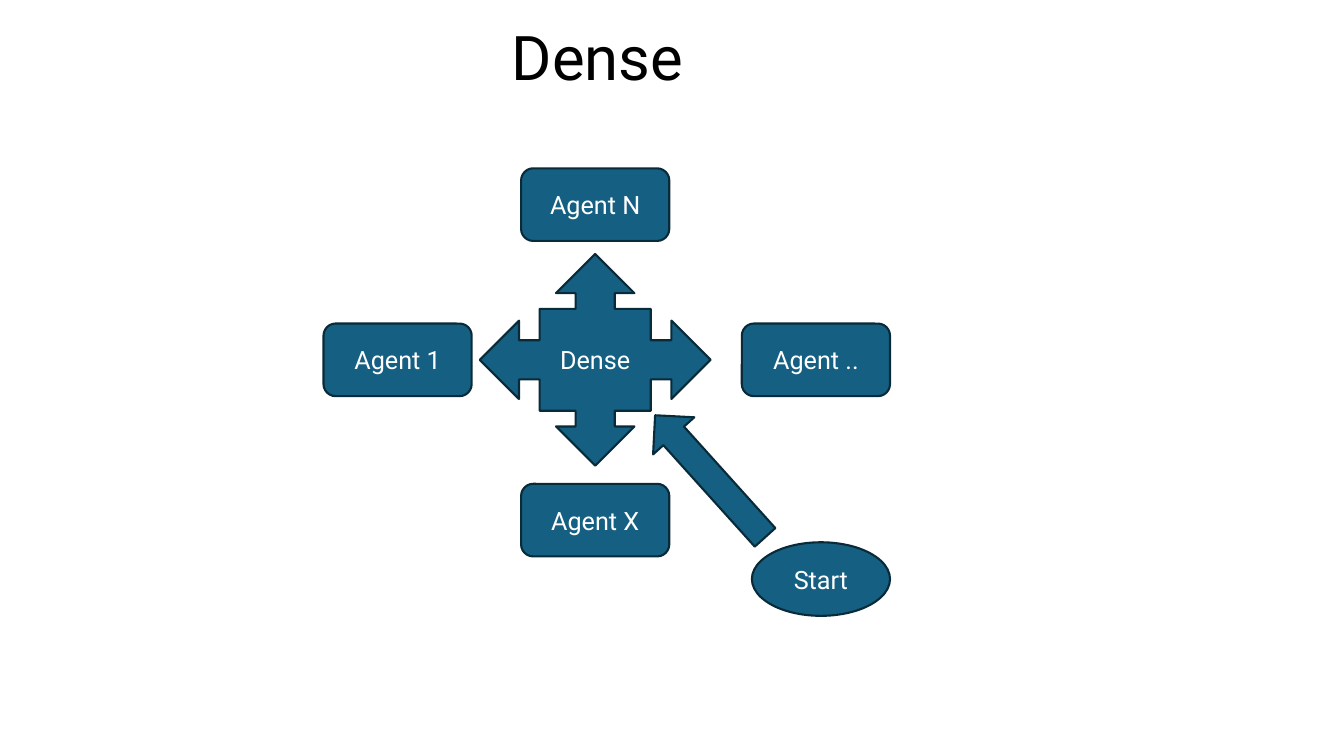
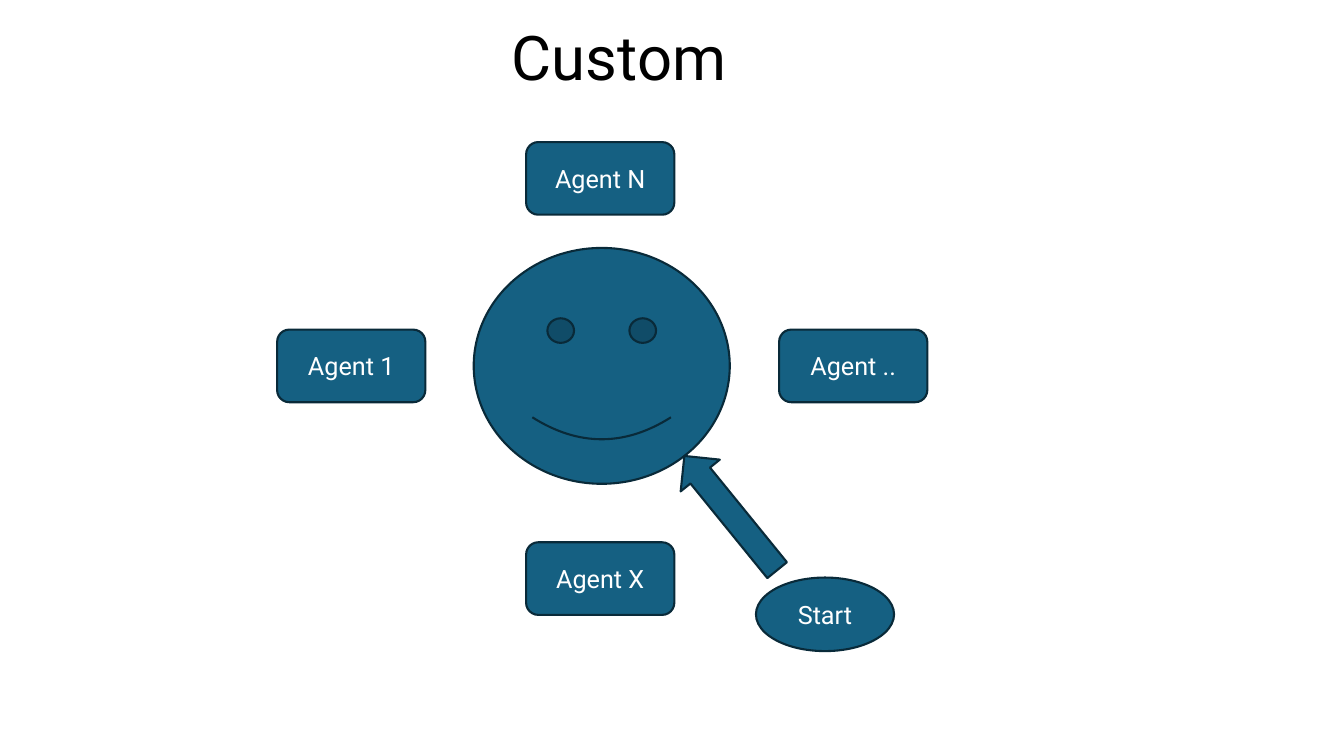
from pptx import Presentation
from pptx.dml.color import RGBColor
from pptx.enum.shapes import MSO_SHAPE
from pptx.enum.text import MSO_ANCHOR, PP_ALIGN
from pptx.util import Pt

ROUNDED = MSO_SHAPE.ROUNDED_RECTANGLE
OVAL = MSO_SHAPE.OVAL
RIGHT_ARROW = MSO_SHAPE.RIGHT_ARROW
UP_ARROW = MSO_SHAPE.UP_ARROW
QUAD_CALLOUT = MSO_SHAPE.QUAD_ARROW_CALLOUT
SMILEY = MSO_SHAPE.SMILEY_FACE
MIDDLE = MSO_ANCHOR.MIDDLE
LEFT = PP_ALIGN.LEFT
CENTER = PP_ALIGN.CENTER

COLORS = {"fill": "156082", "line": "092A39", "label": "FFFFFF", "title": "000000"}
FONT = "Roboto"
AGENT_SIZE = (105.84, 51.84)
START_SIZE = (98.64, 52.56)


class Deck:
    def __init__(self):
        self.presentation = Presentation()
        self.presentation.slide_width = Pt(960)
        self.presentation.slide_height = Pt(540)
        self.slide = None

    def add_slide(self, title):
        self.slide = self.presentation.slides.add_slide(self.presentation.slide_layouts[6])
        box = self.slide.shapes.add_textbox(Pt(358.56), Pt(13.68), Pt(200.88), Pt(59.04))
        self.add_text(box, title, 44, "title", LEFT)
        box.text_frame.paragraphs[0].line_spacing = 0.9

    def add_text(self, shape, text, size, color, alignment):
        frame = shape.text_frame
        frame.word_wrap = True
        frame.vertical_anchor = MIDDLE
        paragraph = frame.paragraphs[0]
        paragraph.alignment = alignment
        run = paragraph.add_run()
        run.text = text
        run.font.name = FONT
        run.font.size = Pt(size)
        run.font.color.rgb = RGBColor.from_string(COLORS[color])

    def figure(self, kind, position, size, label=None, rotation=0):
        shape = self.slide.shapes.add_shape(kind, *map(Pt, position + size))
        shape.shadow.inherit = False
        shape.fill.solid()
        shape.fill.fore_color.rgb = RGBColor.from_string(COLORS["fill"])
        shape.line.color.rgb = RGBColor.from_string(COLORS["line"])
        shape.line.width = Pt(1.5)
        shape.rotation = rotation
        if label:
            self.add_text(shape, label, 18, "label", CENTER)

    def agents(self, column, row, left, right, top, bottom):
        places = {
            "Agent N": (column, top),
            "Agent 1": (left, row),
            "Agent X": (column, bottom),
            "Agent ..": (right, row),
        }
        for label, position in places.items():
            self.figure(ROUNDED, position, AGENT_SIZE, label)

    def start(self, position):
        self.figure(OVAL, position, START_SIZE, "Start")


def main():
    deck = Deck()

    deck.add_slide("Dense")
    deck.agents(column=372.24, row=231.12, left=231.12, right=529.92, top=120.24, bottom=345.6)
    deck.start((537.12, 387.36))
    deck.figure(QUAD_CALLOUT, (342.72, 181.44), (164.88, 151.2), "Dense")
    deck.figure(RIGHT_ARROW, (448.56, 320.4), (117.36, 39.6), rotation=228)

    deck.add_slide("Custom")
    deck.agents(column=375.84, row=235.44, left=198, right=556.56, top=101.52, bottom=387.36)
    deck.start((540, 412.56))
    deck.figure(SMILEY, (338.4, 177.12), (182.88, 168.48))
    deck.figure(UP_ARROW, (504, 313.92), (36, 105.12), rotation=320.9)

    deck.presentation.save("out.pptx")


if __name__ == "__main__":
    main()
